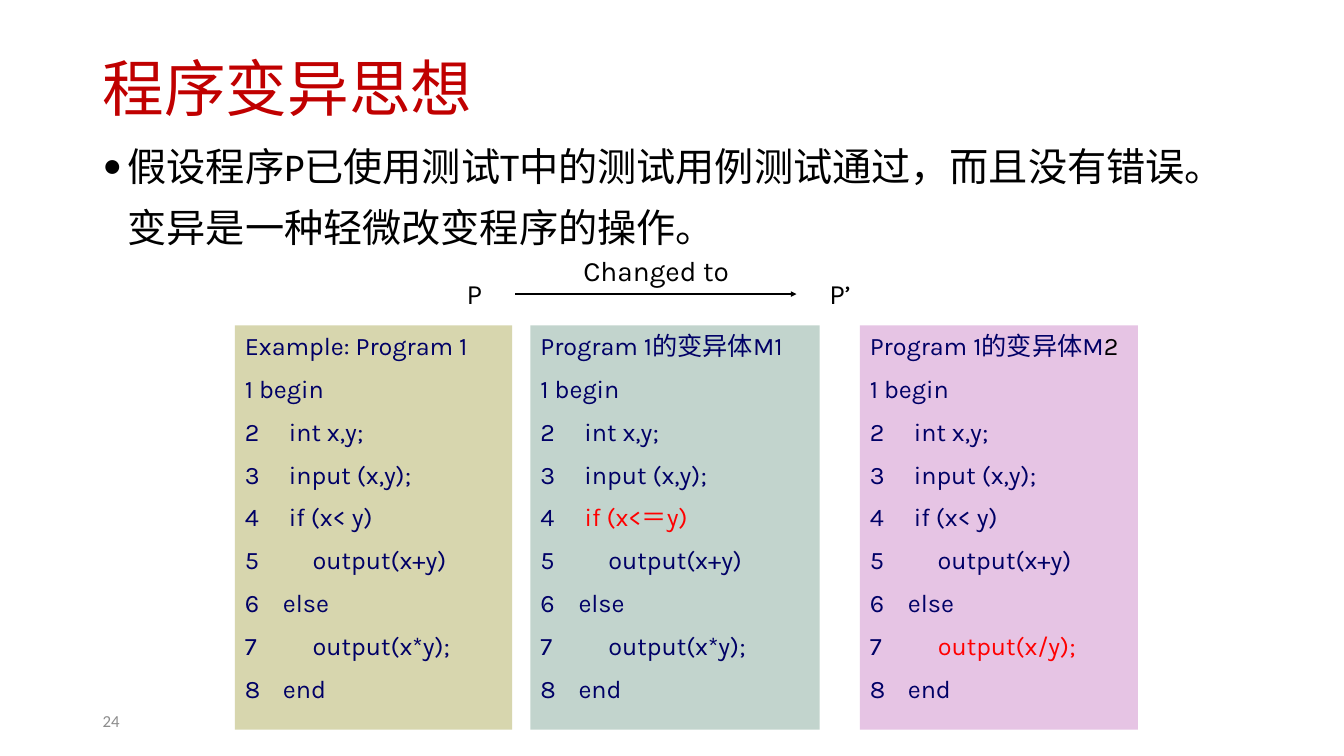
import lxml.etree
import pptx
import pptx.dml.color
import pptx.enum.shapes
import pptx.enum.text
import pptx.oxml.ns
import pptx.util

Cm, Pt = pptx.util.Cm, pptx.util.Pt
RGB = pptx.dml.color.RGBColor.from_string
Anchor = pptx.enum.text.MSO_ANCHOR


class Theme:
    red, black, grey = "C00000", "000000", "8C8C8C"
    navy, mutated = "000066", "FF0000"
    olive, teal, pink = "D7D6AE", "C2D4CD", "E6C4E4"
    title = ("Times New Roman", 44)
    body = ("Calibri", 28)
    number = ("Calibri", 12)
    code = ("Karla", 18)
    label = ("Karla", 20)


def apply(obj, values):
    for name, value in values.items():
        setattr(obj, name, value)


def add_xml(parent, tag, **attrs):
    return lxml.etree.SubElement(parent, pptx.oxml.ns.qn(tag), attrs)


class Deck:
    def __init__(self, theme):
        self.theme = theme
        self.prs = pptx.Presentation()
        apply(self.prs, {"slide_width": Cm(33.87), "slide_height": Cm(19.05)})
        self.s = self.prs.slides.add_slide(self.prs.slide_layouts[6])

    def paragraph(self, p, runs, style, indent=0, bullet=None, **spacing):
        """Fill p with (text, colour) runs; bullet is a (tag, attributes) pair."""
        font, size = style
        apply(p, spacing)
        pPr = p._p.get_or_add_pPr()
        if indent:
            pPr.set("marL", str(Cm(indent)))
            pPr.set("indent", str(-Cm(indent)))
        if bullet:
            tag, attrs = bullet
            add_xml(pPr, "a:buFont", typeface=font)
            add_xml(pPr, tag, **attrs)
        for text, colour in runs:
            r = p.add_run()
            r.text = text
            apply(r.font, {"name": font, "size": Pt(size)})
            r.font.color.rgb = RGB(colour)

    def text(self, box, text, style, colour, parent=None, wrap=True,
             anchor=Anchor.TOP, **fmt):
        shapes = (parent or self.s).shapes
        tf = shapes.add_textbox(*map(Cm, box)).text_frame
        apply(tf, {"word_wrap": wrap, "vertical_anchor": anchor})
        self.paragraph(tf.paragraphs[0], [(text, colour)], style, **fmt)

    def code_panel(self, box, fill, heading, lines):
        rect = pptx.enum.shapes.MSO_SHAPE.RECTANGLE
        sp = self.s.shapes.add_shape(rect, *map(Cm, box))
        sp.shadow.inherit = False
        sp.fill.solid()
        sp.fill.fore_color.rgb = RGB(fill)
        sp.line.fill.background()
        tf = sp.text_frame
        apply(tf, {"word_wrap": True, "vertical_anchor": Anchor.TOP})
        # Line 1 carries a typed number; automatic numbering starts at 2
        numbering = ("a:buAutoNum", {"type": "arabicPlain", "startAt": "2"})
        for i, runs in enumerate([heading, *lines]):
            p = tf.add_paragraph() if i else tf.paragraphs[0]
            self.paragraph(p, runs, self.theme.code, indent=0.96,
                           bullet=numbering if i > 1 else None,
                           alignment=pptx.enum.text.PP_ALIGN.LEFT,
                           space_before=Pt(9 if i else 0))

    def arrow(self, x1, x2, y, colour, parent):
        kind = pptx.enum.shapes.MSO_CONNECTOR.STRAIGHT
        c = parent.shapes.add_connector(kind, Cm(x1), Cm(y), Cm(x2), Cm(y))
        c.line.width = Pt(1)
        c.line.color.rgb = RGB(colour)
        add_xml(c.line._get_or_add_ln(), "a:tailEnd", type="triangle",
                w="sm", len="sm")
        add_xml(c._element.spPr, "a:effectLst")


def main():
    t = Theme
    deck = Deck(t)

    # Title, statement and slide number
    deck.text((2.34, 1.02, 29.21, 2.59), "程序变异思想", t.title, t.red,
              anchor=Anchor.MIDDLE, line_spacing=0.9)
    deck.text((2.34, 3.1, 29.21, 12.88),
              "假设程序P已使用测试T中的测试用例测试通过，而且没有错误。变异是一种轻微改变程序的操作。",
              t.body, t.black, indent=0.63, bullet=("a:buChar", {"char": "•"}),
              line_spacing=1.3)
    deck.text((2.34, 17.65, 7.62, 1.02), "24", t.number, t.grey,
              anchor=Anchor.MIDDLE)

    # The program and its two mutants
    program = ["1 begin", " int x,y;", " input (x,y);", " if (x< y)",
               "     output(x+y)", "else", "     output(x*y);", "end"]
    plain = [[(line, t.navy)] for line in program]
    m1, m2 = plain.copy(), plain.copy()
    m1[3] = [(" ", t.navy), ("if (x<＝y)", t.mutated)]
    m2[6] = [("     ", t.navy), ("output(x/y);", t.mutated)]
    panels = [
        (5.92, 6.99, t.olive, [("Example: Program 1", t.navy)], plain),
        (13.37, 7.29, t.teal, [("Program 1的变异体M1", t.navy)], m1),
        (21.67, 7.01, t.pink,
         [("Program 1的变异体M", t.navy), ("2", t.black)], m2),
    ]
    for left, width, fill, heading, lines in panels:
        deck.code_panel((left, 8.2, width, 10.19), fill, heading, lines)

    # P is changed to P’
    change = deck.s.shapes.add_group_shape()
    labels = [("Changed to", 14.45, 6.27, 4.4), ("P", 11.51, 6.85, 1),
              ("P’", 20.65, 6.85, 1.4)]
    for text, left, top, width in labels:
        deck.text((left, top, width, 1.09), text, t.label, t.black,
                  parent=change, wrap=False)
    deck.arrow(12.98, 20.07, 7.41, t.black, change)

    deck.prs.save("out.pptx")


if __name__ == "__main__":
    main()
